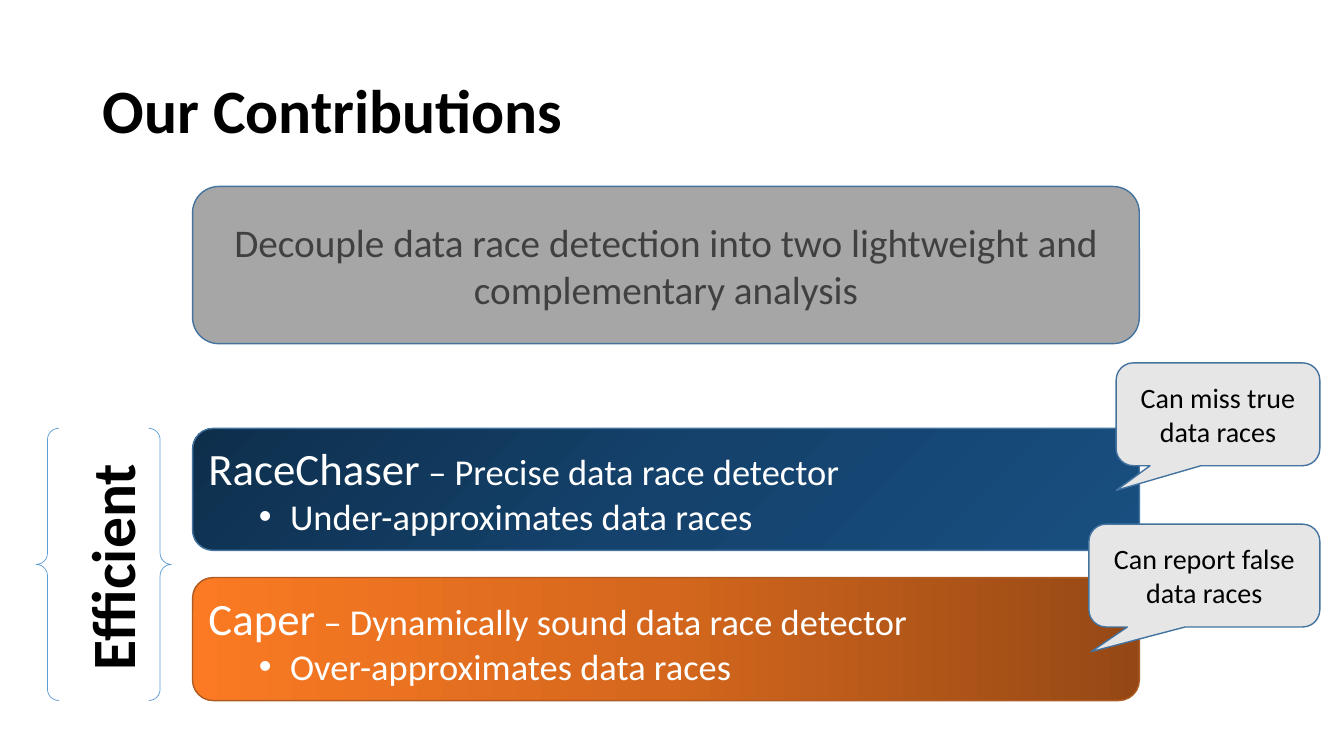
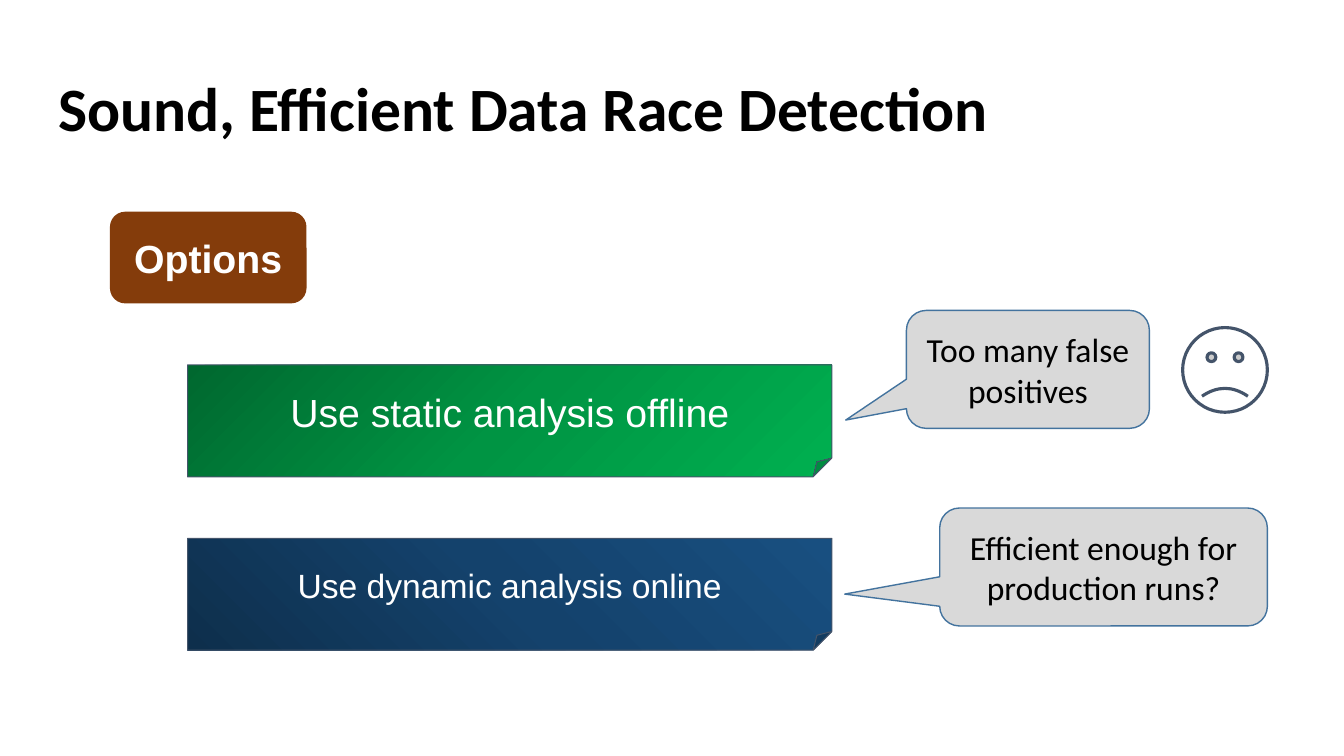
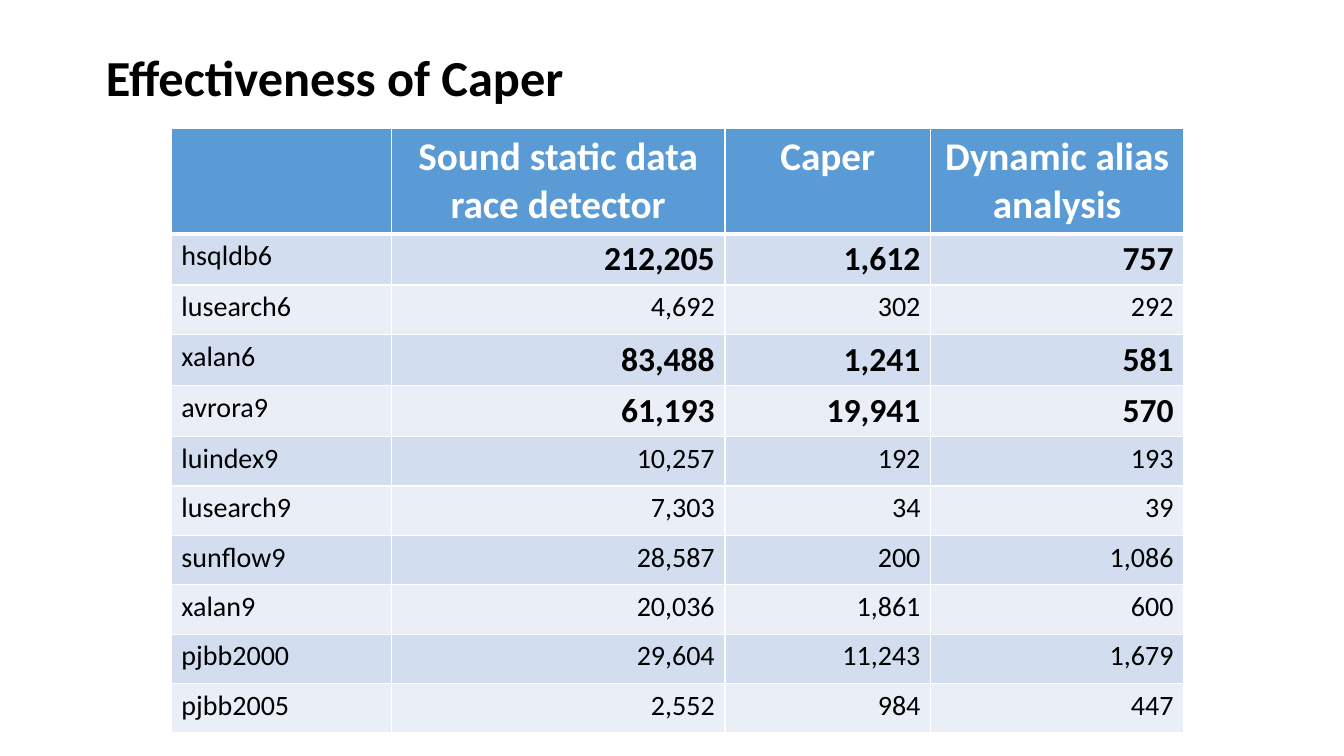
from pptx import Presentation
from pptx.dml.color import RGBColor
from pptx.enum.shapes import MSO_SHAPE as SHAPE
from pptx.enum.text import MSO_ANCHOR as ANCHOR, MSO_AUTO_SIZE as AUTO, PP_ALIGN as ALIGN
from pptx.oxml import parse_xml
from pptx.oxml.ns import nsdecls, qn
from pptx.util import Pt

# Shared look: 100 px make one inch
EMU_PER_PX = 9144
SLIDE_SIZE = (1333, 750)
TITLE_FONT = BODY_FONT = "Calibri"
OPTION_FONT = "Arial"
WIDE_INSET = 13

BLACK = RGBColor(0x00, 0x00, 0x00)
WHITE = RGBColor(0xFF, 0xFF, 0xFF)
CHARCOAL = RGBColor(0x40, 0x40, 0x40)
GRAY = RGBColor(0xA6, 0xA6, 0xA6)
SILVER = RGBColor(0xD9, 0xD9, 0xD9)
PALE_GRAY = RGBColor(0xE7, 0xE6, 0xE6)
SLATE = RGBColor(0x44, 0x54, 0x6A)
EDGE_BLUE = RGBColor(0x43, 0x73, 0x9E)
EDGE_ORANGE = RGBColor(0xAF, 0x5C, 0x24)
SKY = RGBColor(0x5B, 0x9B, 0xD5)
BROWN = RGBColor(0x84, 0x3C, 0x0B)
ROW_BLUES = (RGBColor(0xD2, 0xDE, 0xEF), RGBColor(0xEA, 0xEF, 0xF7))

# Gradients: three colours, then the direction
NAVY_STOPS = ("0E2F4C", "14426C", "184F80")
FROM_TOP_LEFT = '<a:path path="circle"><a:fillToRect r="100000" b="100000"/></a:path>'
FROM_BOTTOM_LEFT = '<a:path path="circle"><a:fillToRect t="100000" r="100000"/></a:path>'
ORANGE = (("954815", "D4671D", "FB7A23"), '<a:lin ang="10800000" scaled="0"/>')
GREEN = (("00682F", "009443", "00B050"), '<a:lin ang="2700000" scaled="0"/>')

# Content: slide 1
GOAL = "Decouple data race detection into two lightweight and complementary analysis"
ANALYSES = [
    # name, role, bullet, outline, top, height, gradient, edge
    ("RaceChaser", " – Precise data race detector", "Under-approximates data races",
     SHAPE.FLOWCHART_ALTERNATE_PROCESS, 425, 121, (NAVY_STOPS, FROM_TOP_LEFT), EDGE_BLUE),
    ("Caper", " – Dynamically sound data race detector", "Over-approximates data races",
     SHAPE.ROUNDED_RECTANGLE, 573, 122, ORANGE, EDGE_ORANGE),
]
LIMITS = [
    # text, box, pointer tip
    ("Can miss true data races", (1107, 360, 202, 102), (-0.5, 0.74)),
    ("Can report false data races", (1080, 520, 229, 102), (-0.49, 0.74)),
]

# Content: slide 2
OPTIONS = [
    ("Use static analysis offline", 28, GREEN),
    ("Use dynamic analysis online", 24, (NAVY_STOPS, FROM_BOTTOM_LEFT)),
]
DOUBTS = [
    ("Too many false positives", (899, 308, 241, 117), (-0.75, 0.43)),
    ("Efficient enough for production runs?", (932, 504, 325, 117), (-0.79, 0.23)),
]

# Content: slide 3
HEADINGS = ("", "Sound static data race detector", "Caper", "Dynamic alias analysis")
RACES = [
    ("hsqldb6", "212,205", "1,612", "757"),
    ("lusearch6", "4,692", "302", "292"),
    ("xalan6", "83,488", "1,241", "581"),
    ("avrora9", "61,193", "19,941", "570"),
    ("luindex9", "10,257", "192", "193"),
    ("lusearch9", "7,303", "34", "39"),
    ("sunflow9", "28,587", "200", "1,086"),
    ("xalan9", "20,036", "1,861", "600"),
    ("pjbb2000", "29,604", "11,243", "1,679"),
    ("pjbb2005", "2,552", "984", "447"),
]
HIGHLIGHTED = {"hsqldb6", "xalan6", "avrora9"}
COLUMN_WIDTHS = (218, 331, 204, 251)
HEADER_HEIGHT, ROW_HEIGHT = 98, 49


def px(length):
    return round(length * EMU_PER_PX)


def emu_box(box):
    return [px(length) for length in box]


def style_runs(paragraph, size, color, font=BODY_FONT, bold=False):
    for run in paragraph.runs:
        run.font.size = Pt(size)
        run.font.name = font
        run.font.bold = bold
        run.font.color.rgb = color


def set_insets(frame, inset):
    frame.margin_left = frame.margin_top = px(inset)
    frame.margin_right = frame.margin_bottom = px(inset)


def add_titled_slide(deck, title, box, size=44, anchor=ANCHOR.TOP, inset=None):
    slide = deck.slides.add_slide(deck.slide_layouts[5])
    heading = slide.shapes.title
    heading.left, heading.top, heading.width, heading.height = emu_box(box)
    frame = heading.text_frame
    frame.text = title
    frame.word_wrap = True
    frame.auto_size = AUTO.NONE
    frame.vertical_anchor = anchor
    if inset:
        set_insets(frame, inset)
    paragraph = frame.paragraphs[0]
    paragraph.alignment = ALIGN.LEFT
    paragraph.line_spacing = 0.9
    style_runs(paragraph, size, BLACK, TITLE_FONT, True)
    return slide


def fill_gradient(shape, stops, direction):
    marks = "".join(f'<a:gs pos="{i * 50000}"><a:srgbClr val="{color}"/></a:gs>'
                    for i, color in enumerate(stops))
    gradient = parse_xml(f'<a:gradFill {nsdecls("a")} rotWithShape="1">'
                         f'<a:gsLst>{marks}</a:gsLst>{direction}</a:gradFill>')
    shape.fill.background()
    properties = shape._element.spPr
    properties.replace(properties.find(qn("a:noFill")), gradient)


def set_guides(shape, guides):
    """Write the adjustments by name, as not every preset lists its own."""
    geometry = shape._element.spPr.find(qn("a:prstGeom"))
    for old in geometry.findall(qn("a:avLst")):
        geometry.remove(old)
    marks = "".join(f'<a:gd name="{name}" fmla="val {round(value * 100000)}"/>'
                    for name, value in guides.items())
    geometry.append(parse_xml(f'<a:avLst {nsdecls("a")}>{marks}</a:avLst>'))


def add_box(slide, outline, box, fill=None, edge=None, edge_width=1):
    """Fill is a colour, a gradient pair or None."""
    shape = slide.shapes.add_shape(outline, *emu_box(box))
    shape.shadow.inherit = False
    if fill is None:
        shape.fill.background()
    elif isinstance(fill, RGBColor):
        shape.fill.solid()
        shape.fill.fore_color.rgb = fill
    else:
        fill_gradient(shape, *fill)
    if edge is None:
        shape.line.fill.background()
    else:
        shape.line.color.rgb = edge
        shape.line.width = Pt(edge_width)
    return shape


def write_centred(shape, text, size, color, font=BODY_FONT, bold=False, inset=None):
    frame = shape.text_frame
    frame.text = text
    frame.word_wrap = True
    frame.vertical_anchor = ANCHOR.MIDDLE
    if inset:
        set_insets(frame, inset)
    frame.paragraphs[0].alignment = ALIGN.CENTER
    style_runs(frame.paragraphs[0], size, color, font, bold)


def add_callouts(slide, callouts, fill, size):
    for text, box, (tip_x, tip_y) in callouts:
        callout = add_box(slide, SHAPE.ROUNDED_RECTANGULAR_CALLOUT, box, fill, EDGE_BLUE)
        set_guides(callout, {"adj1": tip_x, "adj2": tip_y, "adj3": 0.167})
        write_centred(callout, text, size, BLACK)


def write_analysis(shape, name, role, bullet):
    frame = shape.text_frame
    frame.word_wrap = True
    summary, detail = frame.paragraphs[0], frame.add_paragraph()
    summary.text = name
    summary.add_run().text = role
    detail.text = bullet
    for paragraph in (summary, detail):
        paragraph.alignment = ALIGN.LEFT
        style_runs(paragraph, 26, WHITE)
    summary.runs[0].font.size = Pt(32)
    detail.level = 1
    properties = detail._p.get_or_add_pPr()
    properties.set("marL", str(px(81)))
    properties.set("indent", str(px(-31)))
    properties.append(parse_xml(f'<a:buFont {nsdecls("a")} typeface="Arial"/>'))
    properties.append(parse_xml(f'<a:buChar {nsdecls("a")} char="•"/>'))


def set_borders(cell, top, bottom):
    properties = cell._tc.get_or_add_tcPr()
    for i, (side, width) in enumerate((("L", 1), ("R", 1), ("T", top), ("B", bottom))):
        properties.insert(i, parse_xml(
            f'<a:ln{side} {nsdecls("a")} w="{int(Pt(width))}"><a:solidFill>'
            f'<a:srgbClr val="{WHITE}"/></a:solidFill></a:ln{side}>'))


def build_contributions(deck):
    slide = add_titled_slide(deck, "Our Contributions", (92, 40, 1150, 145),
                             anchor=ANCHOR.MIDDLE)
    left, width = 191, 939
    goal = add_box(slide, SHAPE.ROUNDED_RECTANGLE, (left, 185, width, 156), GRAY, EDGE_BLUE)
    write_centred(goal, GOAL, 28, CHARCOAL)
    for name, role, bullet, outline, top, height, gradient, edge in ANALYSES:
        analysis = add_box(slide, outline, (left, top, width, height), gradient, edge)
        write_analysis(analysis, name, role, bullet)
    add_callouts(slide, LIMITS, PALE_GRAY, 20)

    # Braces around the sideways word
    add_box(slide, SHAPE.DOUBLE_BRACE, (36, 425, 134, 270), edge=SKY, edge_width=0.5)
    efficient = slide.shapes.add_textbox(*emu_box((-4, 518, 229, 84)))
    efficient.rotation = 270
    frame = efficient.text_frame
    frame.text = "Efficient"
    frame.word_wrap = False
    frame.auto_size = AUTO.SHAPE_TO_FIT_TEXT
    style_runs(frame.paragraphs[0], 44, BLACK, bold=True)


def build_options(deck):
    slide = add_titled_slide(deck, "Sound, Efficient Data Race Detection",
                             (45, 65, 1242, 84), inset=WIDE_INSET)
    frown = add_box(slide, SHAPE.SMILEY_FACE, (1173, 325, 84, 84), WHITE, SLATE, 2.25)
    set_guides(frown, {"adj": -0.047})
    label = add_box(slide, SHAPE.ROUNDED_RECTANGLE, (109, 210, 195, 91), BROWN)
    write_centred(label, "Options", 28, WHITE, OPTION_FONT, True, WIDE_INSET)
    for i, (text, size, gradient) in enumerate(OPTIONS):
        option = add_box(slide, SHAPE.FOLDED_CORNER, (186, 362 + i * 172, 639, 111),
                         gradient, SLATE, 0.75)
        write_centred(option, text, size, WHITE, OPTION_FONT, inset=WIDE_INSET)
    add_callouts(slide, DOUBTS, SILVER, 24)


def build_effectiveness(deck):
    slide = add_titled_slide(deck, "Effectiveness of Caper", (92, 40, 1150, 98), 36,
                             inset=WIDE_INSET)
    rows = [HEADINGS, *RACES]
    box = (170, 127, sum(COLUMN_WIDTHS), HEADER_HEIGHT + ROW_HEIGHT * len(RACES))
    table = slide.shapes.add_table(len(rows), len(HEADINGS), *emu_box(box)).table
    for column, width in zip(table.columns, COLUMN_WIDTHS):
        column.width = px(width)
    for r, values in enumerate(rows):
        header = r == 0
        table.rows[r].height = px(HEADER_HEIGHT if header else ROW_HEIGHT)
        for c, value in enumerate(values):
            cell = table.cell(r, c)
            cell.text = value
            cell.fill.solid()
            cell.fill.fore_color.rgb = SKY if header else ROW_BLUES[(r - 1) % 2]
            set_borders(cell, top=3 if r == 1 else 1, bottom=3 if header else 1)
            paragraph = cell.text_frame.paragraphs[0]
            if header:
                paragraph.alignment = ALIGN.CENTER
                style_runs(paragraph, 28, WHITE, bold=True)
            else:
                strong = c > 0 and values[0] in HIGHLIGHTED
                paragraph.alignment = ALIGN.RIGHT if c else ALIGN.LEFT
                style_runs(paragraph, 24 if strong else 20, BLACK, bold=strong)


def main():
    deck = Presentation()
    deck.slide_width, deck.slide_height = emu_box(SLIDE_SIZE)
    build_contributions(deck)
    build_options(deck)
    build_effectiveness(deck)
    deck.save("out.pptx")


if __name__ == "__main__":
    main()
